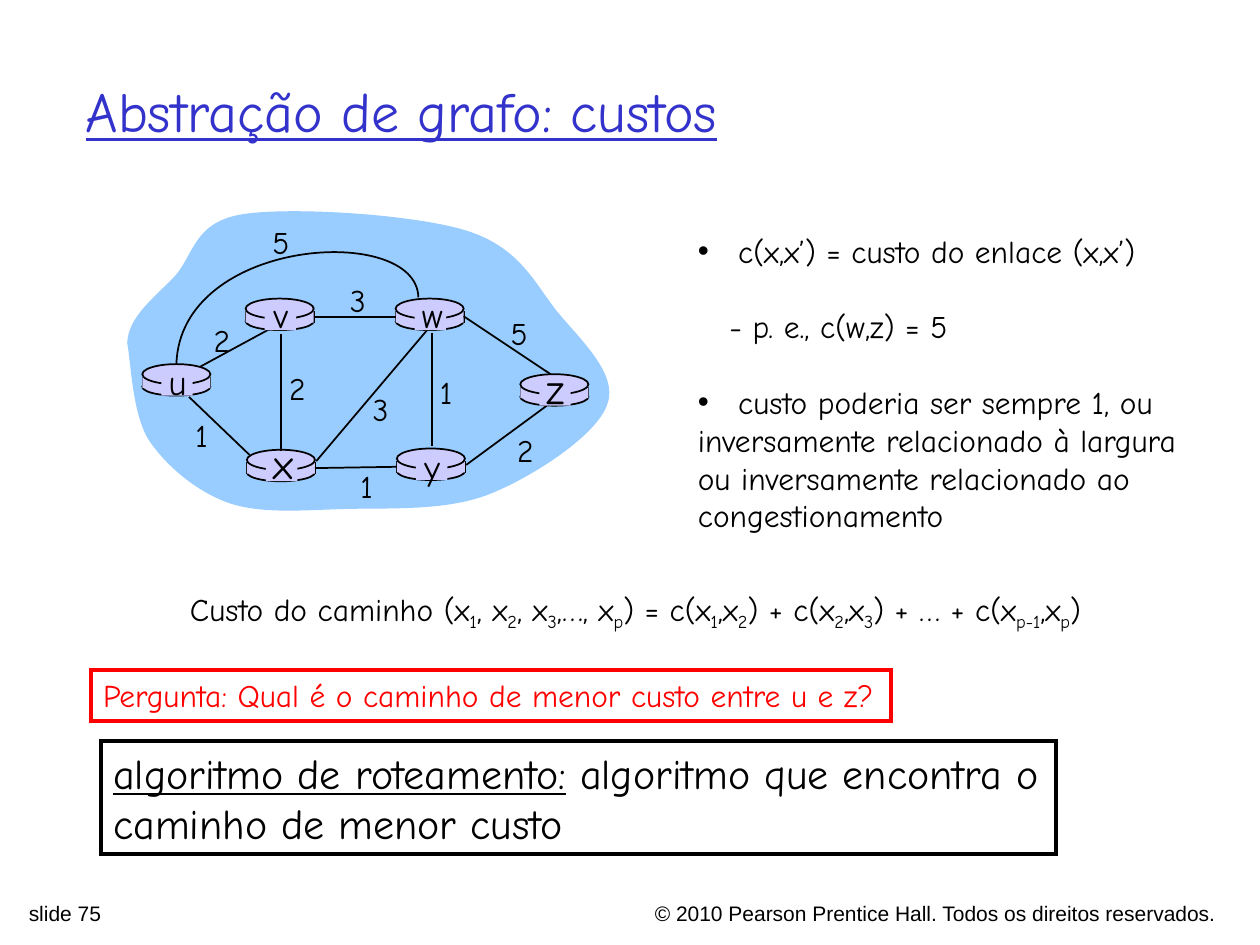
from dataclasses import dataclass
from typing import NamedTuple

from lxml.etree import SubElement
from pptx import Presentation
from pptx.dml.color import RGBColor
from pptx.enum.shapes import MSO_CONNECTOR, MSO_SHAPE
from pptx.enum.text import MSO_ANCHOR, PP_ALIGN
from pptx.oxml.ns import qn
from pptx.util import Cm, Pt


@dataclass(frozen=True)
class Theme:
    font: str = "Comic Neue"
    footer_font: str = "Arial"
    black: str = "000000"
    title: str = "3333CC"
    red: str = "FF0000"
    cloud: str = "99CCFF"
    router: str = "CCCCFF"
    title_pt: int = 32
    large_pt: int = 24
    node_pt: int = 20
    body_pt: int = 18
    footer_pt: int = 12
    thin: float = 1
    frame: float = 2.25


T = Theme()
ROUTER_W = 0.54


class Router(NamedTuple):
    name: str
    left: float
    top: float
    size: int = T.node_pt
    dy: float = 0.13


class Edge(NamedTuple):
    start: tuple
    end: tuple


class Cost(NamedTuple):
    text: str
    x: float
    y: float


ROUTERS = [
    Router("u", 1.13, 2.89, dy=0.14), Router("x", 1.96, 3.57, T.large_pt, 0.1),
    Router("v", 1.95, 2.37), Router("w", 3.14, 2.37),
    Router("y", 3.15, 3.56, dy=0.14), Router("z", 4.13, 2.97, T.large_pt, 0.11),
]
EDGES = [
    Edge((1.59, 2.91), (2.18, 2.59)), Edge((3.43, 2.64), (3.43, 3.54)),
    Edge((2.23, 2.65), (2.23, 3.58)), Edge((2.51, 3.66), (3.39, 2.62)),
    Edge((3.7, 3.69), (4.34, 3.22)), Edge((1.98, 3.61), (1.5, 3.15)),
    Edge((4.37, 2.97), (3.68, 2.51)),
]
LEVEL_EDGES = [("v", "w"), ("x", "y")]
COSTS = [
    Cost("2", 1.76, 2.7), Cost("2", 2.36, 3.08), Cost("1", 1.6, 3.45),
    Cost("3", 3.02, 3.25), Cost("1", 2.91, 3.86), Cost("1", 3.54, 3.11),
    Cost("2", 4.17, 3.57), Cost("5", 4.12, 2.64), Cost("3", 2.84, 2.38),
    Cost("5", 2.23, 1.92),
]
# Bézier control points: a start, then three points for each curve
CLOUD = [
    (1.01, 2.72), (1.02, 2.51), (1.23, 2.36), (1.39, 2.19), (1.54, 2.02),
    (1.54, 1.76), (1.93, 1.7), (2.31, 1.64), (3.28, 1.7), (3.7, 1.83),
    (4.12, 1.96), (4.24, 2.24), (4.42, 2.47), (4.61, 2.7), (4.91, 2.97),
    (4.82, 3.21), (4.74, 3.45), (4.24, 3.78), (3.89, 3.92), (3.54, 4.06),
    (3.08, 4.03), (2.73, 4.04), (2.39, 4.05), (2.07, 4.08), (1.81, 3.99),
    (1.56, 3.9), (1.32, 3.7), (1.18, 3.49), (1.05, 3.28), (1.04, 2.88),
    (1.01, 2.72),
]
ARC = [(3.32, 2.36), (3.31, 1.77), (1.43, 1.88), (1.4, 2.89)]
# (text, subscript that follows it)
FORMULA = [
    ("Custo do caminho (x", "1"), (", x", "2"), (", x", "3"), (",…, x", "p"),
    (") = c(x", "1"), (",x", "2"), (") + c(x", "2"), (",x", "3"),
    (") + … + c(x", "p-1"), (",x", "p"), (")", ""),
]


def inch(value: float) -> Cm:
    return Cm(value * 2.54)


def style(item, fill=None, line=None, width=T.thin) -> None:
    item.shadow.inherit = False
    if fill:
        item.fill.solid()
        item.fill.fore_color.rgb = RGBColor.from_string(fill)
    else:
        item.fill.background()
    if line:
        item.line.color.rgb = RGBColor.from_string(line)
        item.line.width = Pt(width)
        SubElement(item.line._get_or_add_ln(), qn("a:miter"), lim="800000")
    else:
        item.line.fill.background()


def set_font(r, size, color=T.black, name=T.font, underline=None) -> None:
    r.font.size, r.font.name, r.font.underline = Pt(size), name, underline
    r.font.color.rgb = RGBColor.from_string(color)


def add_shape(shapes, kind, box, fill=None, line=None, width=T.thin):
    sp = shapes.add_shape(kind, *map(inch, box))
    style(sp, fill, line, width)
    return sp


def add_line(shapes, start, end):
    cx = shapes.add_connector(MSO_CONNECTOR.STRAIGHT, *map(inch, (*start, *end)))
    cx.line.color.rgb = RGBColor.from_string(T.black)
    cx.line.width = Pt(T.thin)
    SubElement(cx._element.spPr, qn("a:effectLst"))
    return cx


def add_curve(shapes, pts, fill=None, line=None) -> None:
    start, *rest = [(inch(x), inch(y)) for x, y in pts]
    fb = shapes.build_freeform(*start)
    fb.add_line_segments(rest, close=bool(fill))
    sp = fb.convert_to_shape()
    style(sp, fill, line)
    # Join each three line segments into one cubic curve
    segments = list(sp._element.iter(qn("a:lnTo")))
    for i in range(0, len(segments), 3):
        curve = segments[i]
        curve.tag = qn("a:cubicBezTo")
        for segment in segments[i + 1:i + 3]:
            curve.append(segment[0])
            segment.getparent().remove(segment)


def fill_text(tf, lines, size, color=T.black, name=T.font,
              align=PP_ALIGN.LEFT, wrap=True) -> None:
    tf.word_wrap = wrap
    tf.vertical_anchor = MSO_ANCHOR.TOP
    tf.text = "\n".join(lines)
    for p in tf.paragraphs:
        p.alignment = align
        for r in p.runs:
            set_font(r, size, color, name)


def add_text(shapes, box, lines, size, **options):
    tb = shapes.add_textbox(*map(inch, box))
    fill_text(tb.text_frame, lines, size, **options)
    return tb.text_frame


def add_centered(shapes, text, x, y, size) -> None:
    w, h = 0.34, size / 60 + 0.1
    add_text(shapes, (x - w / 2, y - h / 2, w, h), [text], size,
             align=PP_ALIGN.CENTER, wrap=False)


def add_router(shapes, router: Router):
    x, y = router.left, router.top
    add_shape(shapes, MSO_SHAPE.OVAL, (x, y + 0.11, ROUTER_W, 0.14), T.router, T.black)
    for side in (x, x + ROUTER_W):
        add_line(shapes, (side, y + 0.1), (side, y + 0.19))
    body = add_shape(shapes, MSO_SHAPE.RECTANGLE, (x, y + 0.1, ROUTER_W, 0.09), T.router)
    add_shape(shapes, MSO_SHAPE.OVAL, (x, y, ROUTER_W, 0.16), T.router, T.black)
    return body


def set_indent(p, left, bullet=False) -> None:
    pPr = p._p.get_or_add_pPr()
    pPr.set("marL", str(inch(left)))
    pPr.set("indent", str(-inch(left) if bullet else 0))
    if bullet:
        SubElement(pPr, qn("a:buFont"), typeface=T.footer_font)
        SubElement(pPr, qn("a:buChar"), char="•")


def main() -> None:
    prs = Presentation()
    prs.slide_width, prs.slide_height = inch(10), inch(7.5)
    slide = prs.slides.add_slide(prs.slide_layouts[5])
    shapes = slide.shapes

    # Title
    title = shapes.title
    title.left, title.top, title.width, title.height = map(inch, (0.58, 0.25, 8.5, 1.25))
    fill_text(title.text_frame, ["Abstração de grafo: custos"], T.title_pt, T.title)
    title.text_frame.vertical_anchor = MSO_ANCHOR.MIDDLE
    title.text_frame.paragraphs[0].runs[0].font.underline = True

    # Network graph
    add_curve(shapes, CLOUD, fill=T.cloud)
    bodies = {router.name: add_router(shapes, router) for router in ROUTERS}
    for edge in EDGES:
        add_line(shapes, edge.start, edge.end)
    for a, b in LEVEL_EDGES:
        cx = add_line(shapes, (0, 0), (1, 1))
        cx.begin_connect(bodies[a], 3)
        cx.end_connect(bodies[b], 1)
    add_curve(shapes, ARC, line=T.black)
    for name, x, y, size, dy in ROUTERS:
        add_shape(shapes, MSO_SHAPE.RECTANGLE, (x + 0.15, y + 0.02, 0.25, 0.23), T.router)
        add_centered(shapes, name, x + 0.28, y + dy, size)
    for cost in COSTS:
        add_centered(shapes, cost.text, cost.x, cost.y, T.body_pt)

    # Notes on link costs
    tf = add_text(shapes, (5.44, 1.79, 4.02, 2.5), [
        "c(x,x’) = custo do enlace (x,x’)", "- p. e., c(w,z) = 5",
        "custo poderia ser sempre 1, ou",
        "inversamente relacionado à largura\vou inversamente relacionado ao\vcongestionamento",
    ], T.body_pt)
    first, example, second, _ = tf.paragraphs
    for p in (first, second):
        set_indent(p, 0.32, bullet=True)
    set_indent(example, 0.25)
    for p in (example, second):
        p.space_before = Pt(21.6)

    # Path cost formula
    p = add_text(shapes, (1.41, 4.63, 7.44, 0.44), [""], T.body_pt).paragraphs[0]
    for base, sub in FORMULA:
        for text, baseline in ((base, 0), (sub, -25000)):
            if text:
                r = p.add_run()
                r.text = text
                set_font(r, T.body_pt)
                if baseline:
                    r.font._element.set("baseline", str(baseline))

    # Framed question and definition
    sp = add_shape(shapes, MSO_SHAPE.RECTANGLE, (0.72, 5.32, 6.35, 0.4), None, T.red, T.frame)
    fill_text(sp.text_frame, ["Pergunta: Qual é o caminho de menor custo entre u e z?"],
              T.body_pt, T.red)
    sp = add_shape(shapes, MSO_SHAPE.RECTANGLE, (0.8, 5.88, 7.58, 0.9), None, T.black, T.frame)
    fill_text(sp.text_frame, [
        "algoritmo de roteamento:"], T.large_pt)
    p = sp.text_frame.paragraphs[0]
    p.runs[0].font.underline = True
    r = p.add_run()
    r.text = " algoritmo que encontra o"
    p.add_line_break()
    p.add_run().text = "caminho de menor custo"
    for r in p.runs[1:]:
        set_font(r, T.large_pt, underline=False)

    # Footer
    add_text(shapes, (0.13, 7.1, 3.52, 0.24), ["slide 75"], T.footer_pt, name=T.footer_font)
    add_text(shapes, (4.64, 7.1, 5.11, 0.24),
             ["© 2010 Pearson Prentice Hall. Todos os direitos reservados."],
             T.footer_pt, name=T.footer_font, align=PP_ALIGN.RIGHT)

    prs.save("out.pptx")


if __name__ == "__main__":
    main()
